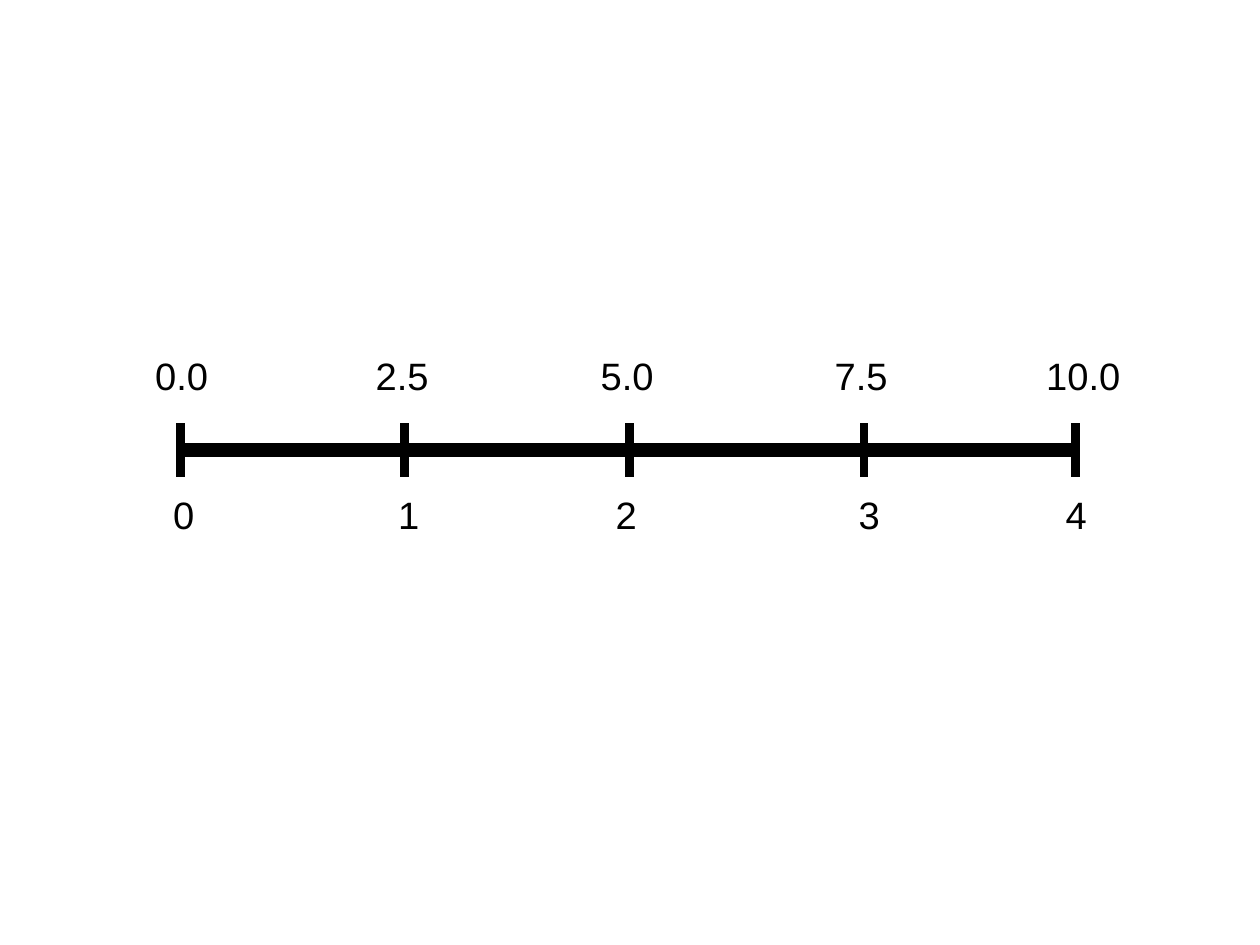
from pptx import Presentation
from pptx.dml.color import RGBColor
from pptx.enum.shapes import MSO_CONNECTOR as CONN
from pptx.enum.text import MSO_AUTO_SIZE as FIT
from pptx.oxml.ns import qn
from pptx.util import Cm, Pt
from lxml import etree

BLACK = RGBColor(0, 0, 0)

prs = Presentation()
prs.slide_width, prs.slide_height = Cm(28), Cm(21)
s = prs.slides.add_slide(prs.slide_layouts[6])


def add_line(x1, y1, x2, y2, width):
    line = s.shapes.add_connector(CONN.STRAIGHT, Cm(x1), Cm(y1), Cm(x2), Cm(y2))
    line.line.color.rgb = BLACK
    line.line.width = Pt(width)
    etree.SubElement(line._element.spPr, qn("a:effectLst"))


def add_label(text, x, y, width):
    tf = s.shapes.add_textbox(Cm(x), Cm(y), Cm(width), Cm(1.19)).text_frame
    tf.word_wrap = False
    tf.auto_size = FIT.SHAPE_TO_FIT_TEXT
    tf.text = text
    font = tf.paragraphs[0].runs[0].font
    font.name, font.size = "Arial", Pt(24)
    font.color.rgb = BLACK


# Axis
add_line(4, 10, 24, 10, 8.5)

# Ticks: position, then text and left edge of the upper and lower labels
ticks = [
    (4, "0.0", 3.2, "0", 3.6),
    (9, "2.5", 8.1, "1", 8.6),
    (14, "5.0", 13.1, "2", 13.43),
    (19.2, "7.5", 18.3, "3", 18.83),
    (23.9, "10.0", 23, "4", 23.43),
]
for x, value, value_x, index, index_x in ticks:
    add_line(x, 9.4, x, 10.6, 5.67)
    add_label(value, value_x, 7.7, 1.68 if len(value) == 3 else 2.15)
    add_label(index, index_x, 10.8, 0.97)

prs.save("out.pptx")
